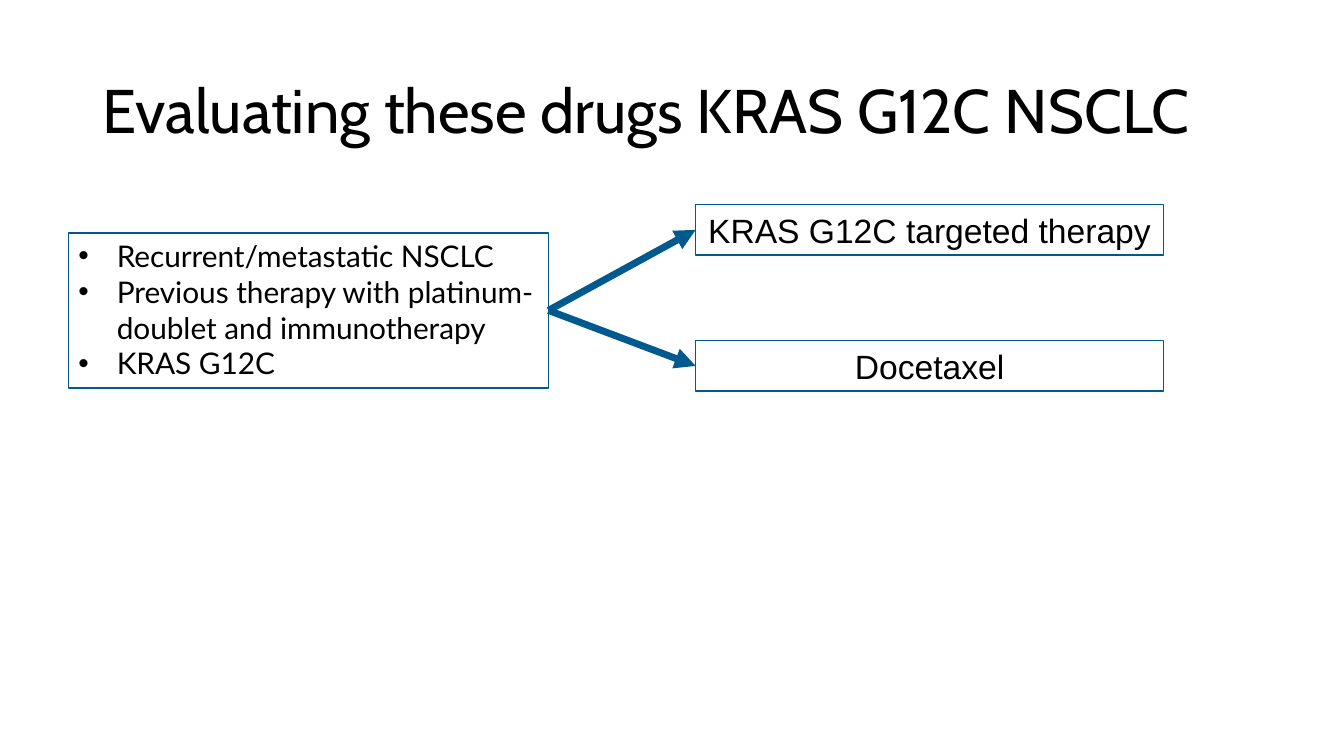
from dataclasses import dataclass

from lxml.etree import SubElement
from pptx import Presentation
from pptx.dml.color import RGBColor
from pptx.enum.shapes import MSO_CONNECTOR, MSO_SHAPE
from pptx.enum.text import MSO_ANCHOR, MSO_AUTO_SIZE, PP_ALIGN
from pptx.oxml.ns import qn
from pptx.shapes.autoshape import Shape
from pptx.slide import Slide
from pptx.util import Inches, Pt

WIDE, HIGH = Inches(13.33), Inches(7.5)


@dataclass(frozen=True)
class Theme:
    ink: RGBColor = RGBColor(0x00, 0x00, 0x00)
    blue: RGBColor = RGBColor(0x00, 0x5A, 0x8E)
    head: float = 44
    list: float = 21.3
    arm: float = 24
    edge: float = 1
    arrow: float = 5


@dataclass(frozen=True)
class Area:
    left: float
    top: float
    width: float
    height: float

    def place(self) -> tuple[int, int, int, int]:
        return (int(WIDE * self.left), int(HIGH * self.top),
                int(WIDE * self.width), int(HIGH * self.height))


@dataclass(frozen=True)
class Box:
    area: Area
    lines: tuple[str, ...]
    font: str
    size: float
    align: PP_ALIGN = PP_ALIGN.LEFT
    wrap: bool = True
    dots: bool = False


THEME = Theme()
TITLE = Box(Area(0.069, 0.0533, 0.8627, 0.1933),
            ("Evaluating these drugs KRAS G12C NSCLC",), "Cabin", THEME.head)
GROUP = Box(Area(0.051, 0.308, 0.3571, 0.2053),
            ("Recurrent/metastatic NSCLC",
             "Previous therapy with platinum-doublet and immunotherapy",
             "KRAS G12C"), "Lato", THEME.list, dots=True)
ARMS = [
    Box(Area(0.5176, top, 0.3481, 0.0667), (name,), "Arial", THEME.arm,
        PP_ALIGN.CENTER, wrap)
    for top, name, wrap in ((0.2707, "KRAS G12C targeted therapy", False),
                            (0.4507, "Docetaxel", True))
]


def write(shape: Shape, box: Box) -> None:
    frame = shape.text_frame
    frame.word_wrap = box.wrap
    frame.text = "\n".join(box.lines)
    for para in frame.paragraphs:
        para.alignment = box.align
        if box.dots:
            props = para._p.get_or_add_pPr()
            props.set("marL", str(Inches(0.38)))
            props.set("indent", str(-Inches(0.38)))
            SubElement(props, qn("a:buFont"), typeface="Arial")
            SubElement(props, qn("a:buChar"), char="•")
        for run in para.runs:
            run.font.name = box.font
            run.font.size = Pt(box.size)
            run.font.color.rgb = THEME.ink


def add_title(slide: Slide, box: Box) -> None:
    shape = slide.shapes.add_textbox(*box.area.place())
    write(shape, box)
    shape.text_frame.vertical_anchor = MSO_ANCHOR.MIDDLE
    shape.text_frame.paragraphs[0].line_spacing = 0.9


def add_box(slide: Slide, box: Box) -> Shape:
    shape = slide.shapes.add_shape(MSO_SHAPE.RECTANGLE, *box.area.place())
    shape.shadow.inherit = False
    shape.fill.background()
    shape.line.color.rgb = THEME.blue
    shape.line.width = Pt(THEME.edge)
    write(shape, box)
    shape.text_frame.vertical_anchor = MSO_ANCHOR.TOP
    shape.text_frame.auto_size = MSO_AUTO_SIZE.SHAPE_TO_FIT_TEXT
    return shape


def add_arrow(slide: Slide, start: Shape, end: Shape) -> None:
    arrow = slide.shapes.add_connector(MSO_CONNECTOR.STRAIGHT, 0, 0, 0, 0)
    arrow.begin_connect(start, 3)
    arrow.end_connect(end, 1)
    arrow.line.color.rgb = THEME.blue
    arrow.line.width = Pt(THEME.arrow)
    SubElement(arrow.line._get_or_add_ln(), qn("a:tailEnd"), type="triangle")
    SubElement(arrow._element.spPr, qn("a:effectLst"))


def main() -> None:
    deck = Presentation()
    deck.slide_width, deck.slide_height = WIDE, HIGH
    slide = deck.slides.add_slide(deck.slide_layouts[6])
    add_title(slide, TITLE)
    group = add_box(slide, GROUP)
    arms = [add_box(slide, arm) for arm in ARMS]
    for arm in arms:
        add_arrow(slide, group, arm)
    deck.save("out.pptx")


if __name__ == "__main__":
    main()
